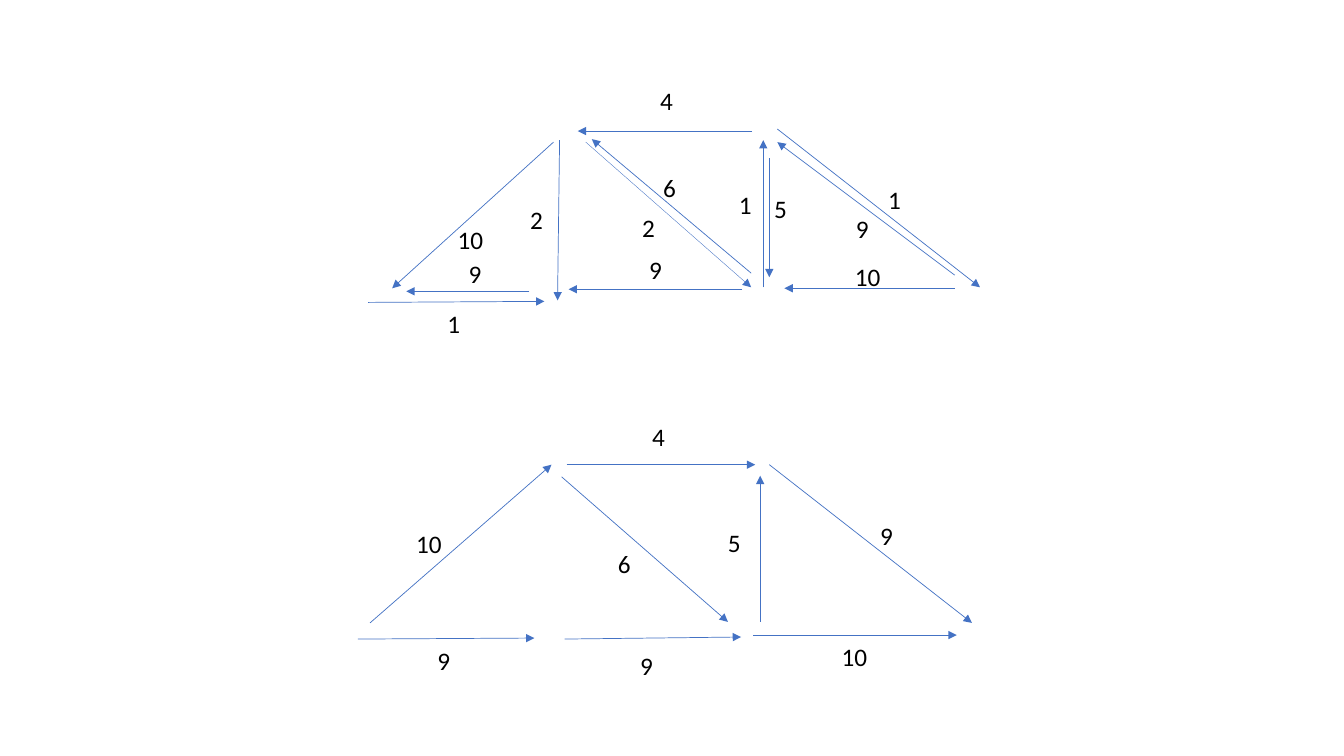
"""Build a slide with a flow graph and its residual graph."""
from lxml import etree
from pptx import Presentation, util as u
from pptx.dml.color import RGBColor
from pptx.enum import shapes, text
from pptx.oxml.ns import qn

SCALE = 9144
SIZE = (1333, 750)
COLORS = {"line": "4472C4", "text": "000000"}
THIN, THICK = 0.25, 0.5
SLIM, WIDE, HIGH = 33, 46, 40

GRAPHS = {
    "residual": {
        "edges": [
            ((746, 130), (573, 130), THICK),
            ((771, 128), (972, 285), THICK),
            ((555, 139), (553, 298), THICK),
            ((581, 141), (745, 285), THIN),
            ((757, 285), (757, 139), THICK),
            ((365, 300), (540, 299), THICK),
            ((549, 141), (389, 286), THICK),
            ((947, 273), (771, 141), THICK),
            ((745, 271), (587, 138), THICK),
            ((947, 286), (778, 286), THIN),
            ((736, 287), (564, 287), THICK),
            ((525, 289), (403, 289), THICK),
            ((763, 157), (763, 275), THICK),
        ],
        "labels": [
            ("2", 516, 198, SLIM),
            ("1", 434, 301, SLIM),
            ("1", 871, 178, SLIM),
            ("2", 627, 206, SLIM),
            ("1", 723, 183, SLIM),
            ("4", 645, 80, WIDE),
            ("10", 444, 218, WIDE),
            ("9", 839, 207, WIDE),
            ("6", 648, 166, SLIM),
            ("10", 838, 254, WIDE),
            ("9", 634, 247, WIDE),
            ("9", 455, 251, WIDE),
            ("5", 758, 187, SLIM),
        ],
    },
    "network": {
        "edges": [
            ((367, 618), (547, 461), THICK),
            ((562, 461), (749, 461), THICK),
            ((763, 461), (964, 618), THICK),
            ((557, 473), (722, 617), THICK),
            ((747, 630), (949, 630), THICK),
            ((355, 634), (530, 633), THICK),
            ((560, 634), (735, 632), THICK),
            ((754, 617), (754, 472), THICK),
        ],
        "labels": [
            ("10", 403, 519, WIDE),
            ("9", 863, 511, SLIM),
            ("4", 637, 413, WIDE),
            ("10", 825, 631, WIDE),
            ("6", 603, 539, SLIM),
            ("9", 424, 635, SLIM),
            ("9", 625, 640, SLIM),
            ("5", 712, 518, SLIM),
        ],
    },
}


def px(*nums):
    return [u.Emu(n * SCALE) for n in nums]


def arrow(slide, start, end, width):
    edge = slide.shapes.add_connector(
        shapes.MSO_CONNECTOR.STRAIGHT, *px(*start, *end))
    edge.line.color.rgb = RGBColor.from_string(COLORS["line"])
    edge.line.width = u.Pt(width)
    etree.SubElement(edge.line._get_or_add_ln(), qn("a:tailEnd"), type="triangle")
    etree.SubElement(edge._element.spPr, qn("a:effectLst"))


def label(slide, words, left, top, width, *, size=18, font="Calibri", color="text"):
    box = slide.shapes.add_textbox(*px(left, top, width, HIGH))
    frame = box.text_frame
    frame.word_wrap = width == WIDE
    frame.auto_size = text.MSO_AUTO_SIZE.SHAPE_TO_FIT_TEXT
    run = frame.paragraphs[0].add_run()
    run.text = words
    run.font.size = u.Pt(size)
    run.font.name = font
    run.font.color.rgb = RGBColor.from_string(COLORS[color])


def main():
    deck = Presentation()
    deck.slide_width, deck.slide_height = px(*SIZE)
    slide = deck.slides.add_slide(deck.slide_layouts[6])
    for graph in GRAPHS.values():
        for edge in graph["edges"]:
            arrow(slide, *edge)
        for item in graph["labels"]:
            label(slide, *item)
    deck.save("out.pptx")


if __name__ == "__main__":
    main()
